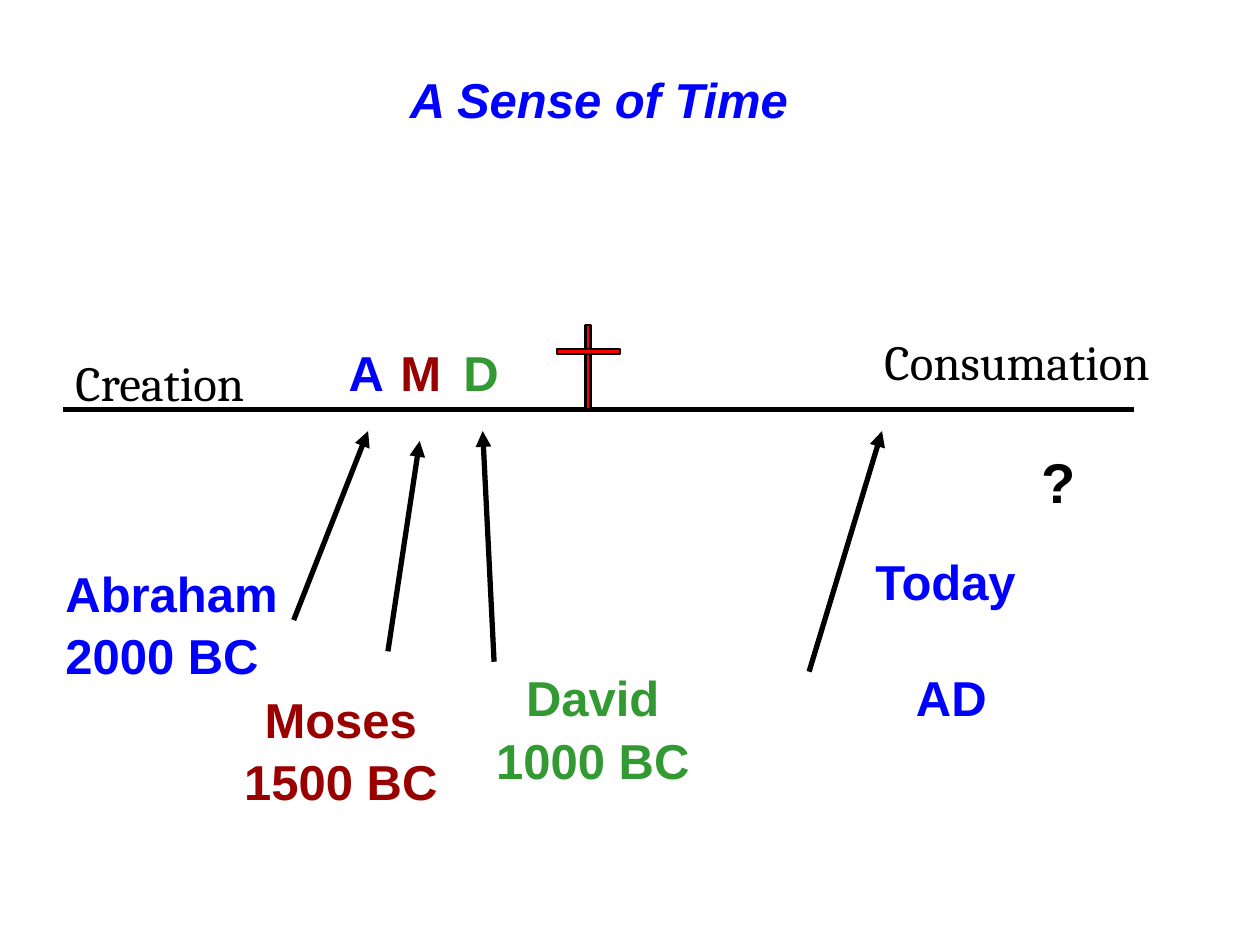
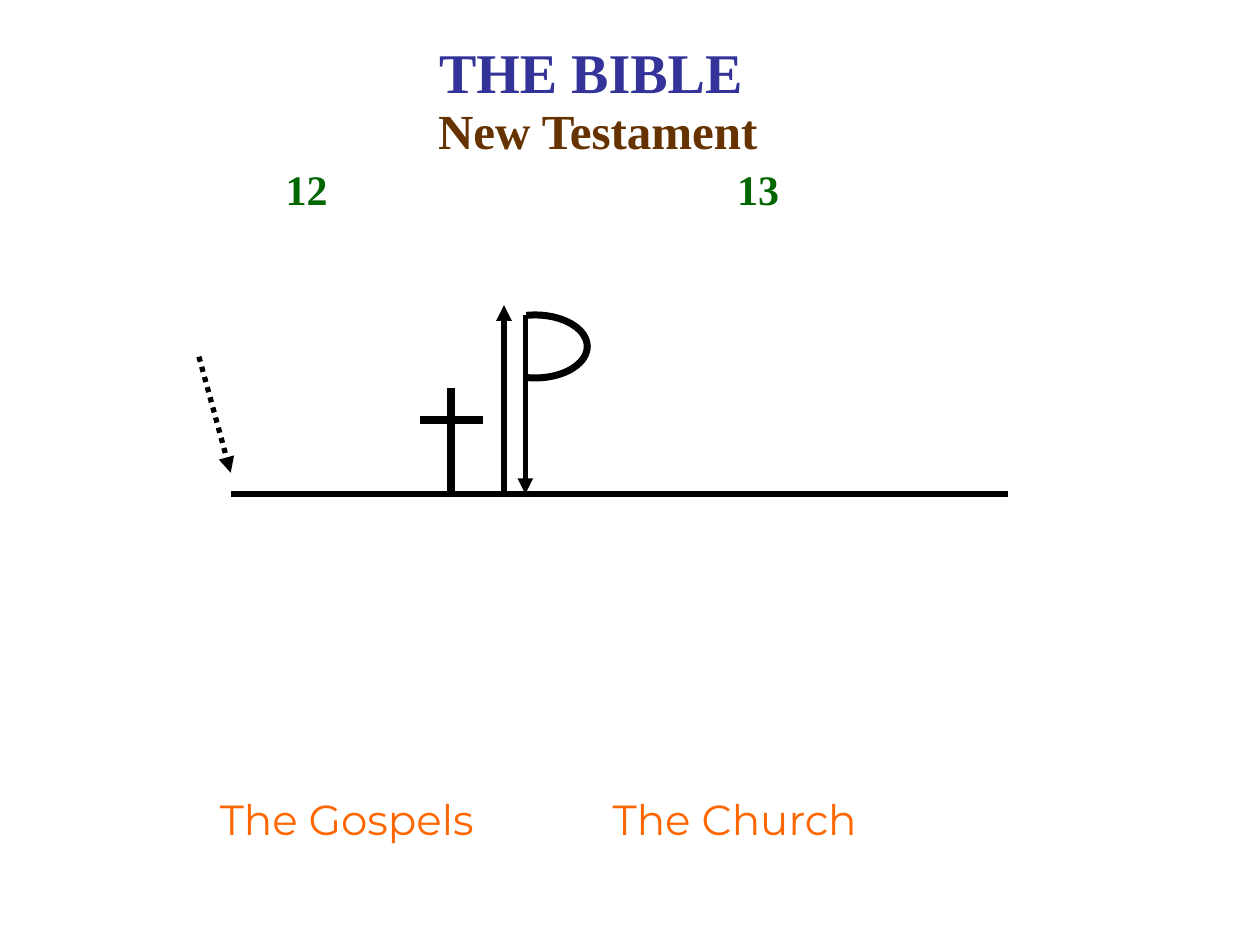
from lxml.etree import SubElement
from pptx import Presentation
from pptx.dml.color import RGBColor
from pptx.enum.dml import MSO_LINE
from pptx.enum.shapes import MSO_CONNECTOR, MSO_SHAPE
from pptx.enum.text import MSO_AUTO_SIZE, PP_ALIGN
from pptx.oxml.ns import qn
from pptx.util import Cm, Pt

BLACK, WHITE, RED = "000000", "FFFFFF", "FF0000"
BLUE, MAROON, GREEN = "0000FF", "990000", "339933"
INDIGO, BROWN, FOREST, ORANGE = "333399", "663300", "006600", "FF6600"
SANS, SERIF, TIMES, LIGHT = "Arial", "Cambria", "Times New Roman", "Montserrat"
LEFT, CENTER = PP_ALIGN.LEFT, PP_ALIGN.CENTER


def rgb(value):
    return RGBColor.from_string(value)


def add_tabs(p, stops):
    tabs = SubElement(p._p.get_or_add_pPr(), qn("a:tabLst"))
    for stop in stops:
        SubElement(tabs, qn("a:tab"), pos=str(Cm(stop)), algn="l")


def add_text(s, box, lines, color, font=SANS, size=28, align=CENTER,
             bold=True, italic=False, gap=2, stops=()):
    sp = s.shapes.add_textbox(*map(Cm, box))
    tf = sp.text_frame
    tf.word_wrap = True
    tf.auto_size = MSO_AUTO_SIZE.SHAPE_TO_FIT_TEXT
    for i, line in enumerate(lines):
        p = tf.add_paragraph() if i else tf.paragraphs[0]
        p.alignment = align
        if i:
            p.space_before = Pt(gap)
        if stops:
            add_tabs(p, stops)
        r = p.add_run()
        r.text = line
        r.font.name = font
        r.font.size = Pt(size)
        r.font.bold = bold
        r.font.italic = italic
        r.font.color.rgb = rgb(color)


def add_line(shapes, start, end, width=3, arrow=False, dash=None):
    c = shapes.add_connector(MSO_CONNECTOR.STRAIGHT, *map(Cm, start + end))
    c.line.color.rgb = rgb(BLACK)
    c.line.width = Pt(width)
    if dash:
        c.line.dash_style = dash
    if arrow:
        SubElement(c.line._get_or_add_ln(), qn("a:tailEnd"), type="triangle")
    SubElement(c._element.spPr, qn("a:effectLst"))


def add_outline(shapes, kind, box, line, width, fill=None):
    sp = shapes.add_shape(kind, *map(Cm, box))
    sp.shadow.inherit = False
    sp.line.color.rgb = rgb(line)
    sp.line.width = Pt(width)
    if fill:
        sp.fill.solid()
        sp.fill.fore_color.rgb = rgb(fill)
    else:
        sp.fill.background()


def build_sense_of_time(s):
    add_line(s.shapes, (1.27, 8.26), (22.86, 8.26))
    cross = s.shapes.add_group_shape().shapes
    for beam in ((11.81, 6.55, 0.1, 1.7), (11.23, 7.04, 1.27, 0.1)):
        add_outline(cross, MSO_SHAPE.RECTANGLE, beam, BLACK, 1.5, RED)

    add_text(s, (1.27, 6.99, 5.08, 1.45), ["Creation"], BLACK, SERIF,
             align=LEFT, bold=False)
    add_text(s, (17.58, 6.55, 6.15, 2.64), ["Consumation"], BLACK, SERIF,
             align=LEFT, bold=False)
    add_text(s, (20.75, 8.89, 1.27, 1.63), ["?"], BLACK, size=32, align=LEFT)

    people = [
        ("Abraham", "2000 BC", BLUE, LEFT, (1.07, 11.23), 6.78,
         (5.92, 12.5), (7.42, 8.69)),
        ("Moses", "1500 BC", MAROON, CENTER, (4.01, 13.77), 7.82,
         (7.82, 13.13), (8.46, 8.89)),
        ("David", "1000 BC", GREEN, CENTER, (9.09, 13.34), 9.09,
         (9.96, 13.34), (9.73, 8.69)),
    ]
    for name, year, color, align, corner, initial_x, start, end in people:
        add_line(s.shapes, start, end, arrow=True)
        add_text(s, corner + (5.72, 2.54), [name, year], color, align=align)
        add_text(s, (initial_x, 6.78, 1.27, 1.45), [name[0]], color, align=LEFT)

    add_line(s.shapes, (16.31, 13.54), (17.78, 8.69), arrow=True)
    add_text(s, (14.4, 11, 9.32, 3.63), ["Today", " AD"], BLUE, gap=32.5)
    add_text(s, (2.97, 1.27, 18.21, 1.45), ["A Sense of Time"], BLUE, italic=True)


def build_new_testament(s):
    add_text(s, (5.92, 0.64, 12.27, 1.63), ["THE BIBLE "], INDIGO, TIMES, 32)
    add_text(s, (2.11, 3.18, 18.42, 1.27), ["\t12\t13"], FOREST, TIMES, 24,
             align=LEFT, stops=(3.4, 12.5))

    diagram = s.shapes.add_group_shape().shapes
    add_outline(diagram, MSO_SHAPE.OVAL, (9.73, 6.35, 2.11, 1.27), BLACK, 4)
    add_outline(diagram, MSO_SHAPE.RECTANGLE, (9.32, 5.92, 1.27, 2.11),
                WHITE, 0.75, WHITE)
    ground = 9.96
    add_line(diagram, (4.65, ground), (20.32, ground))
    add_line(diagram, (4.01, 7.19), (4.65, 9.53), arrow=True,
             dash=MSO_LINE.ROUND_DOT)
    add_line(diagram, (9.09, 7.82), (9.09, ground), 4.5)
    add_line(diagram, (8.46, 8.46), (9.73, 8.46), 4.5)
    add_line(diagram, (10.16, ground), (10.16, 6.15), arrow=True)
    add_line(diagram, (10.59, 6.35), (10.59, ground), arrow=True)

    add_text(s, (7.82, 1.91, 8.46, 1.45), ["New Testament"], BROWN, TIMES)
    for x, part in ((3.18, "The Gospels"), (11, "The Church")):
        add_text(s, (x, 15.88, 7.62, 1.27), [part], ORANGE, LIGHT, 24, bold=False)


def main():
    prs = Presentation()
    prs.slide_width, prs.slide_height = Cm(25.4), Cm(19.05)
    for build in (build_sense_of_time, build_new_testament):
        build(prs.slides.add_slide(prs.slide_layouts[6]))
    prs.save("out.pptx")


if __name__ == "__main__":
    main()
